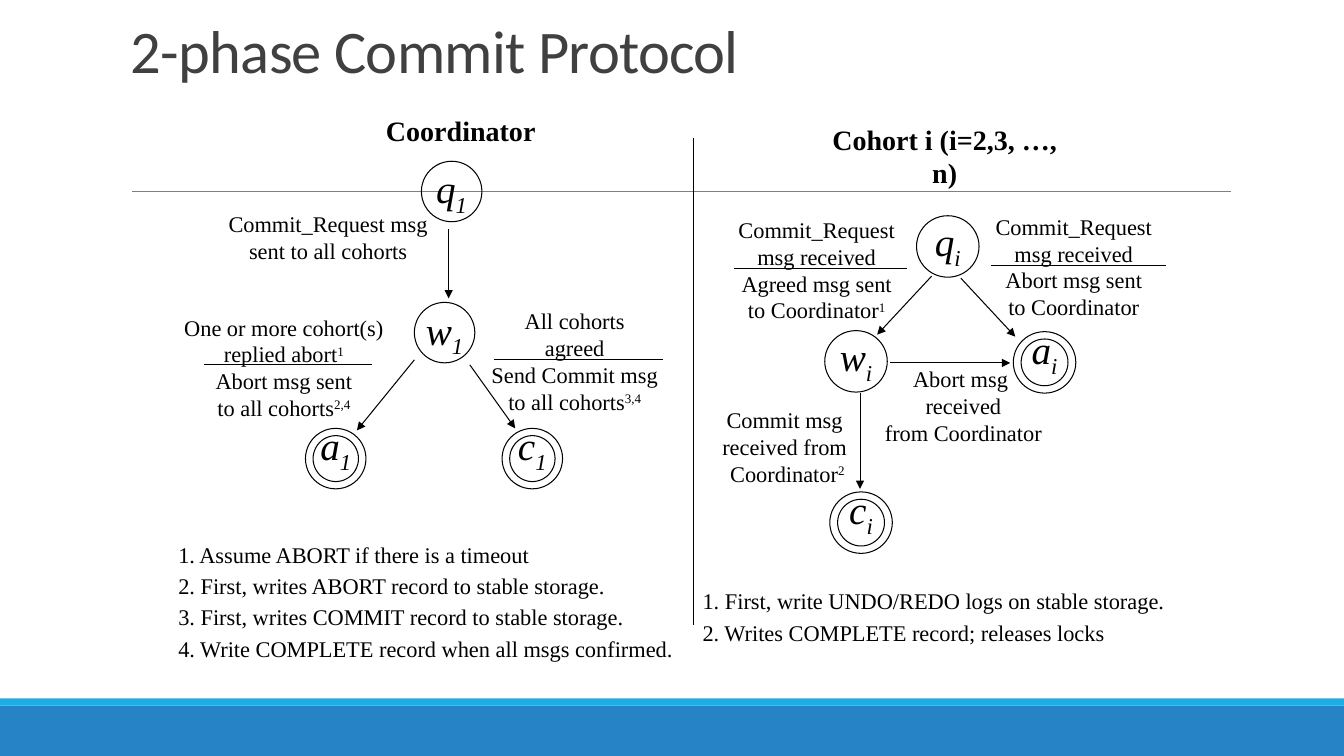
from lxml import etree
from pptx import Presentation
from pptx.dml.color import RGBColor
from pptx.enum import shapes, text
from pptx.oxml.ns import qn
from pptx.util import Inches, Pt

THEME = dict(
    head="Calibri", body="Times New Roman",
    ink="000000", title="404040", rule="808080", band="2683C6", strip="1CADE4",
    big=43.2, state=28, label=20, note=16, line=0.75, thin=0.5,
)

TITLE = ("2-phase Commit Protocol", (1.2, 0.31, 11, 0.59))
BANDS = [((0, 7, 13.33, 0.5), "band"), ((0, 6.93, 13.33, 0.07), "strip")]

# Heading: text, box, wraps, side inset
HEADS = [
    ("Coordinator", (3.73, 1.08, 1.68, 0.43), False, 0),
    ("Cohort i (i=2,3, …, n)", (8, 1.33, 2.74, 0.43), True, 0.2),
]

# State: name, index, left, top, final
STATES = [
    ("q", "1", 4.18, 1.6, False),
    ("w", "1", 4.11, 3, False),
    ("c", "1", 4.98, 4.25, True),
    ("a", "1", 3.03, 4.25, True),
    ("q", "i", 9.09, 2.14, False),
    ("w", "i", 8.18, 3.28, False),
    ("a", "i", 10.05, 3.29, True),
    ("c", "i", 8.23, 4.88, True),
]
SIZES = {"1": (0.6, 0.6), "i": (0.62, 0.61)}
INSETS = {"1": (0.1, 0.05, 0.1, 0.05), "i": (0.1, 0, 0.1, 0.05)}

ARROWS = [
    (4.45, 2.27, 4.45, 2.96), (4.11, 3.57, 3.54, 4.27), (4.66, 3.62, 5.11, 4.25),
    (9.24, 2.74, 8.7, 3.32), (8.53, 3.9, 8.53, 4.85),
    (9.53, 2.76, 10.07, 3.34), (8.83, 3.6, 10.02, 3.6),
]
RULES = [
    (4.9, 3.57, 6.58, 3.57), (2.02, 3.62, 3.69, 3.62), (9.83, 2.63, 11.56, 2.63),
    (7.28, 2.66, 9, 2.66), (6.88, 1.37, 6.88, 6.2),
]

# A caret starts a superscript
LABELS = [
    (["Commit_Request msg", "sent to all cohorts"], (2.16, 2.03, 2.19, 0.64)),
    (["All cohorts", "agreed", "Send Commit msg", "to all cohorts^3,4"],
     (4.77, 3, 1.86, 1.17)),
    (["One or more cohort(s)", "replied abort^1", "Abort msg sent",
      "to all cohorts^2,4"], (1.72, 3.06, 2.19, 1.17)),
    (["Abort msg ", "received", "from Coordinator"], (8.67, 3.57, 1.77, 0.9)),
    (["Commit_Request", "msg received", "Abort msg sent", "to Coordinator"],
     (9.77, 2.06, 1.76, 1.17)),
    (["Commit_Request", "msg received", "Agreed msg sent", "to Coordinator^1"],
     (7.22, 2.09, 1.76, 1.17)),
    (["Commit msg ", "received from ", "Coordinator^2"], (7.06, 3.98, 1.5, 0.9)),
]
NOTES = [
    (["1. First, write UNDO/REDO logs on stable storage.",
      "2. Writes COMPLETE record; releases locks"], (6.87, 5.77, 4.8, 0.69)),
    (["1. Assume ABORT if there is a timeout",
      "2. First, writes ABORT record to stable storage.",
      "3. First, writes COMMIT record to stable storage.",
      "4. Write COMPLETE record when all msgs confirmed."],
     (1.67, 5.3, 5.14, 1.33)),
]

deck = Presentation()
deck.slide_width, deck.slide_height = Inches(13.33), Inches(7.5)
slide = deck.slides.add_slide(deck.slide_layouts[6])
parts = slide.shapes


def put(obj, **vals):
    for key, val in vals.items():
        setattr(obj, key, val)


def tint(key):
    return RGBColor.from_string(THEME[key])


def frame(shape, inset=(0.1, 0.05, 0.1, 0.05), wrap=False,
          anchor=text.MSO_ANCHOR.MIDDLE):
    body = shape.text_frame
    left, top, right, base = map(Inches, inset)
    put(body, word_wrap=wrap, vertical_anchor=anchor, margin_left=left,
        margin_top=top, margin_right=right, margin_bottom=base)
    return body


def write(body, lines, size, face="body", color="ink", shift=30,
          align=text.PP_ALIGN.CENTER, gap=0, **style):
    for num, line in enumerate(lines):
        para = body.add_paragraph() if num else body.paragraphs[0]
        put(para, alignment=align, space_before=Pt(gap))
        for pos, word in enumerate(line.split("^")):
            run = para.add_run()
            run.text = word
            put(run.font, name=THEME[face], size=Pt(THEME[size]), **style)
            run.font.color.rgb = tint(color)
            if pos:
                run._r.get_or_add_rPr().set("baseline", str(shift * 1000))


def box(at):
    return parts.add_textbox(*map(Inches, at))


def ring(at):
    shape = parts.add_shape(shapes.MSO_SHAPE.OVAL, *map(Inches, at))
    shape.shadow.inherit = False
    shape.fill.background()
    shape.line.color.rgb = tint("ink")
    shape.line.width = Pt(THEME["line"])
    return shape


def link(ends, color="ink", width="line", arrow=False):
    line = parts.add_connector(shapes.MSO_CONNECTOR.STRAIGHT, *map(Inches, ends))
    line.line.color.rgb = tint(color)
    line.line.width = Pt(THEME[width])
    if arrow:
        etree.SubElement(line.line._get_or_add_ln(), qn("a:tailEnd"), type="triangle")
    etree.SubElement(line._element.spPr, qn("a:effectLst"))


# Bands and title
for at, color in BANDS:
    bar = parts.add_shape(shapes.MSO_SHAPE.RECTANGLE, *map(Inches, at))
    bar.shadow.inherit = False
    bar.fill.solid()
    bar.fill.fore_color.rgb = tint(color)
    bar.line.fill.background()
link((1.31, 1.9, 12.21, 1.9), "rule", "thin")

name, at = TITLE
body = frame(box(at), wrap=True, anchor=text.MSO_ANCHOR.BOTTOM)
write(body, [name], "big", "head", "title", align=text.PP_ALIGN.LEFT)
body.paragraphs[0].line_spacing = 0.85
body.paragraphs[0].runs[0]._r.get_or_add_rPr().set("spc", "-50")

# States: a final one has a second ring inside
for name, index, left, top, final in STATES:
    wide, high = SIZES[index]
    shape, inset = ring((left, top, wide, high)), INSETS[index]
    if final:
        inner = wide * 0.75, high * 0.76
        shape = ring((left + (wide - inner[0]) / 2, top + (high - inner[1]) / 2, *inner))
        inset = (0, 0, 0, 0.2)
    write(frame(shape, inset), [f"{name}^{index}"], "state", shift=-25, italic=True)

# Arrows and rules
for ends in ARROWS:
    link(ends, arrow=True)
for ends in RULES:
    link(ends)

# Headings, labels and notes
for name, at, wrap, side in HEADS:
    write(frame(box(at), (side, 0.05, side, 0.05), wrap), [name], "label", bold=True)
for lines, at in LABELS:
    write(frame(box(at)), lines, "note")
for lines, at in NOTES:
    write(frame(box(at)), lines, "note", align=text.PP_ALIGN.LEFT, gap=3.2)

deck.save("out.pptx")
